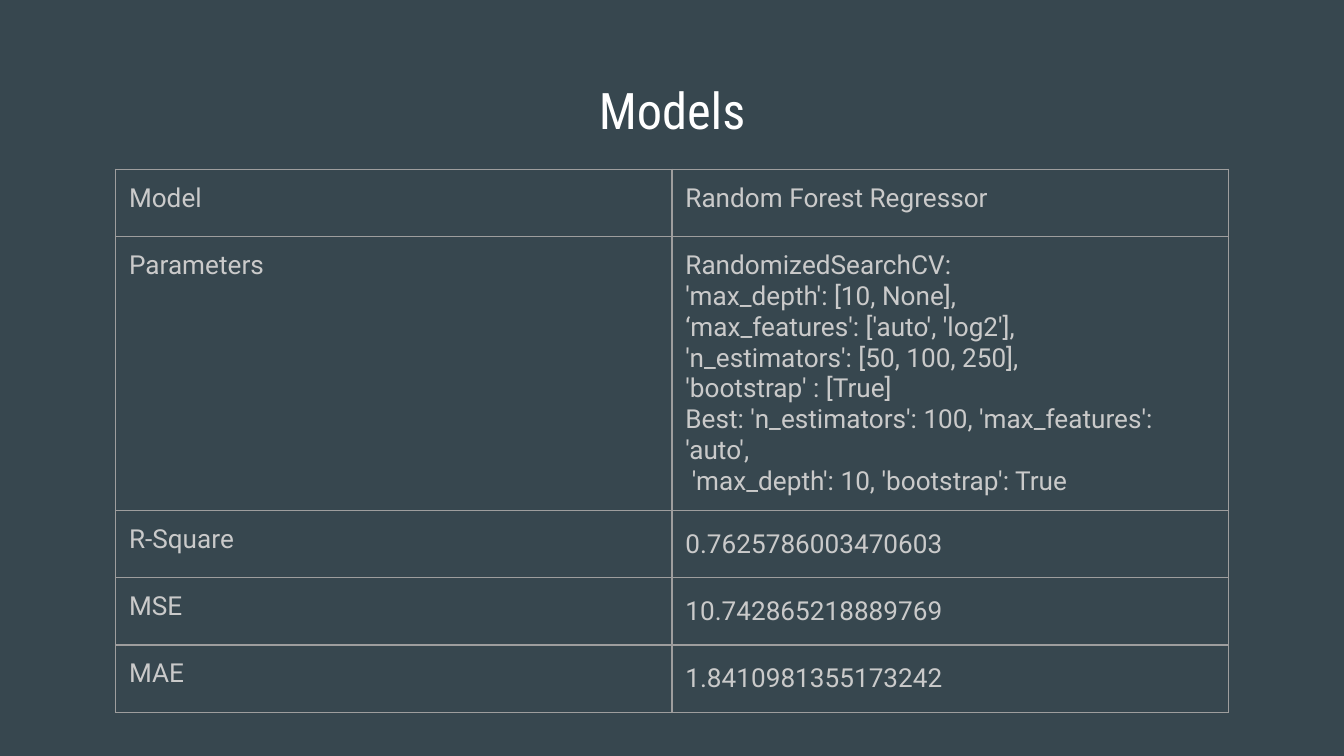
from dataclasses import dataclass

from lxml import etree
from pptx import Presentation
from pptx.dml.color import RGBColor
from pptx.enum.text import MSO_ANCHOR, PP_ALIGN
from pptx.oxml.ns import qn
from pptx.util import Inches, Pt

CENTER, LEFT = PP_ALIGN.CENTER, PP_ALIGN.LEFT
TOP = MSO_ANCHOR.TOP
WIDTH = 10
HEIGHT = WIDTH * 9 / 16
ROW_HEIGHT = 0.5
TABLE_LEFT, TABLE_TOP = 0.86, 1.26
TITLE_LEFT, TITLE_TOP, TITLE_HEIGHT = 0.34, 0.49, 0.63
MARGIN = Inches(0.1)


@dataclass(frozen=True)
class Theme:
    """Colours, fonts and sizes of the deck."""
    background: str = "37474F"
    title: str = "FFFFFF"
    body: str = "CACACA"
    border: str = "9E9E9E"
    title_font: str = "Roboto Condensed"
    body_font: str = "Roboto"
    title_size: int = 27
    body_size: int = 14
    border_width: float = 0.75


THEME = Theme()
TITLE_FORMAT = {"name": THEME.title_font, "size": Pt(THEME.title_size), "bold": False}
BODY_FORMAT = {"name": THEME.body_font, "size": Pt(THEME.body_size), "bold": False}
MARGINS = {f"margin_{side}": MARGIN for side in ("left", "right", "top", "bottom")}

PARAMETERS = [
    "RandomizedSearchCV:",
    "'max_depth': [10, None],",
    "‘max_features': ['auto', 'log2'],",
    "'n_estimators': [50, 100, 250],",
    "'bootstrap' : [True]",
    "Best: 'n_estimators': 100, 'max_features': 'auto',",
    " 'max_depth': 10, 'bootstrap': True",
]
ROWS = [
    ("Model", ["Random Forest Regressor"], 1.0),
    ("Parameters", PARAMETERS, 1.0),
    ("R-Square", ["0.7625786003470603"], 1.15),
    ("MSE", ["10.742865218889769"], 1.15),
    ("MAE", ["1.8410981355173242"], 1.15),
]


def apply_format(target, values):
    """Set every attribute named in a dict of format values."""
    for name, value in values.items():
        setattr(target, name, value)


def write_lines(frame, lines, font_format, color, align=LEFT, spacing=1.0):
    """Write one formatted paragraph per line of text."""
    for index, line in enumerate(lines):
        para = frame.add_paragraph() if index else frame.paragraphs[0]
        apply_format(para, {"alignment": align, "line_spacing": spacing})
        span = para.add_run()
        span.text = line
        apply_format(span.font, font_format)
        span.font.color.rgb = RGBColor.from_string(color)


def add_title(page, text):
    """Add the centred page title."""
    box = page.shapes.add_textbox(
        Inches(TITLE_LEFT), Inches(TITLE_TOP),
        Inches(WIDTH - 2 * TITLE_LEFT), Inches(TITLE_HEIGHT))
    apply_format(box.text_frame, {**MARGINS, "word_wrap": True, "vertical_anchor": TOP})
    write_lines(box.text_frame, [text], TITLE_FORMAT, THEME.title, CENTER)


def outline_cell(cell):
    """Draw a thin border on all four sides of a cell."""
    properties = cell._tc.get_or_add_tcPr()
    for index, side in enumerate(("lnL", "lnR", "lnT", "lnB")):
        line = etree.Element(qn(f"a:{side}"), w=str(Pt(THEME.border_width)))
        fill = etree.SubElement(line, qn("a:solidFill"))
        etree.SubElement(fill, qn("a:srgbClr"), val=THEME.border)
        properties.insert(index, line)


def fill_cell(cell, lines, spacing=1.0):
    """Give a cell its text, margins, clear fill and border."""
    apply_format(cell, {**MARGINS, "vertical_anchor": TOP})
    write_lines(cell.text_frame, lines, BODY_FORMAT, THEME.body, spacing=spacing)
    cell.fill.background()
    outline_cell(cell)


def add_model_table(page, rows):
    """Add the two-column table of model settings and scores."""
    frame = page.shapes.add_table(
        len(rows), 2, Inches(TABLE_LEFT), Inches(TABLE_TOP),
        Inches(WIDTH - 2 * TABLE_LEFT), Inches(ROW_HEIGHT * len(rows)))
    table = frame.table
    apply_format(table, {"first_row": False, "horz_banding": False})
    for index, (label, lines, spacing) in enumerate(rows):
        fill_cell(table.cell(index, 0), [label])
        fill_cell(table.cell(index, 1), lines, spacing)


def main():
    """Build the slide and save the deck."""
    deck = Presentation()
    apply_format(deck, {"slide_width": Inches(WIDTH), "slide_height": Inches(HEIGHT)})
    page = deck.slides.add_slide(deck.slide_layouts[6])
    page.background.fill.solid()
    page.background.fill.fore_color.rgb = RGBColor.from_string(THEME.background)
    add_model_table(page, ROWS)
    add_title(page, "Models")
    deck.save("out.pptx")


if __name__ == "__main__":
    main()
